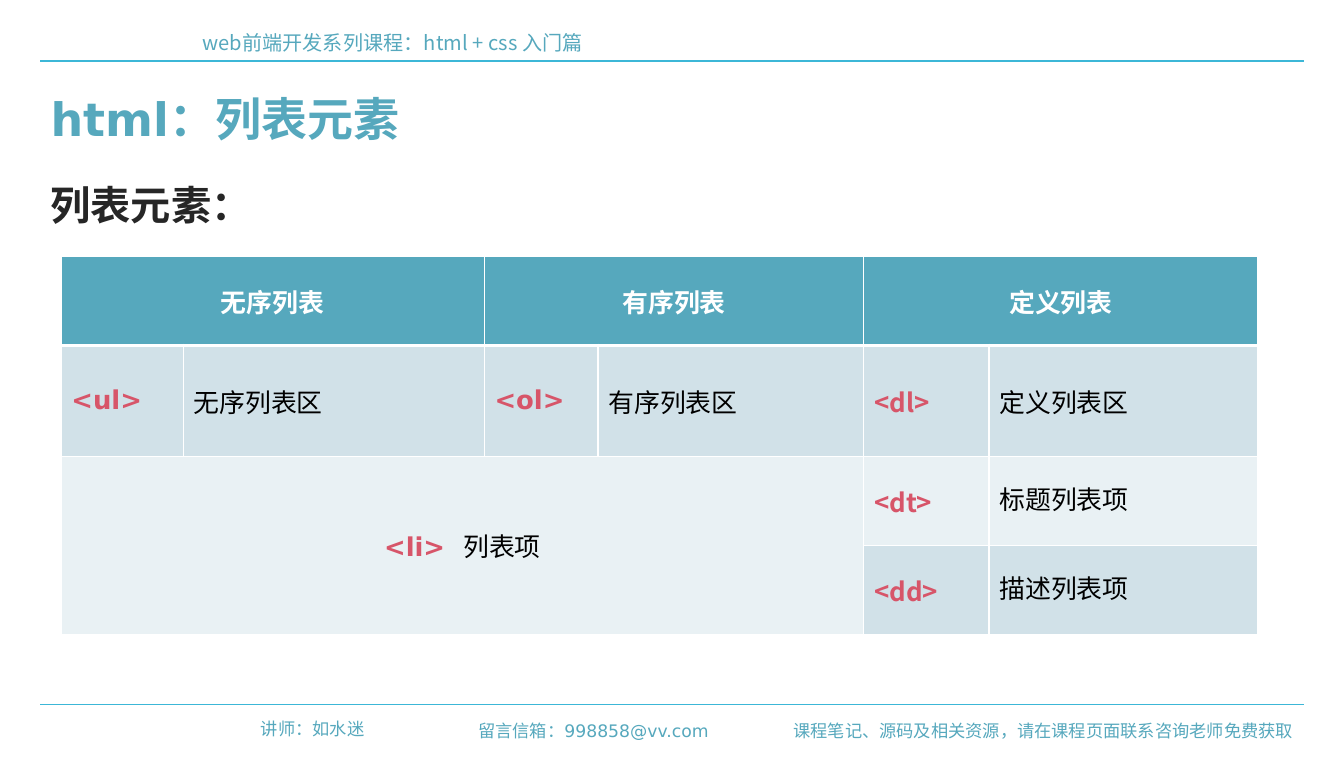
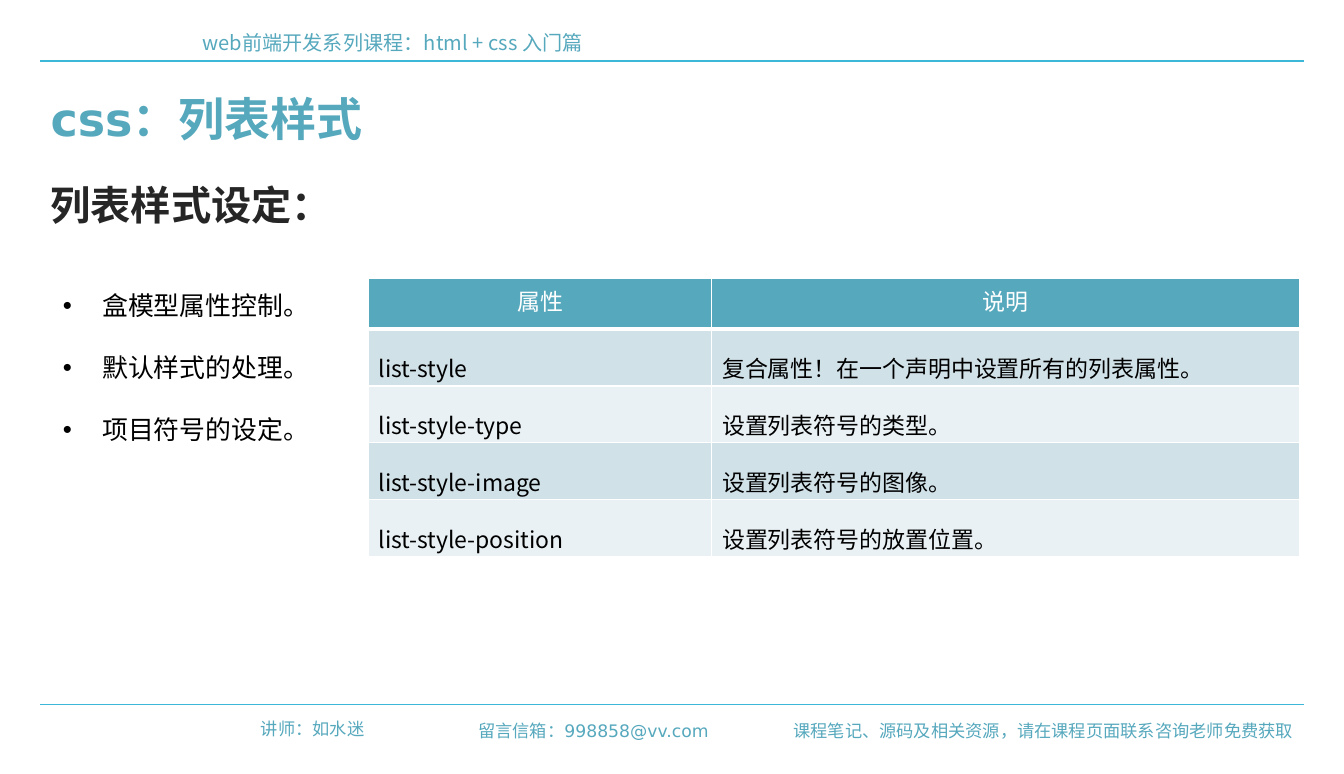
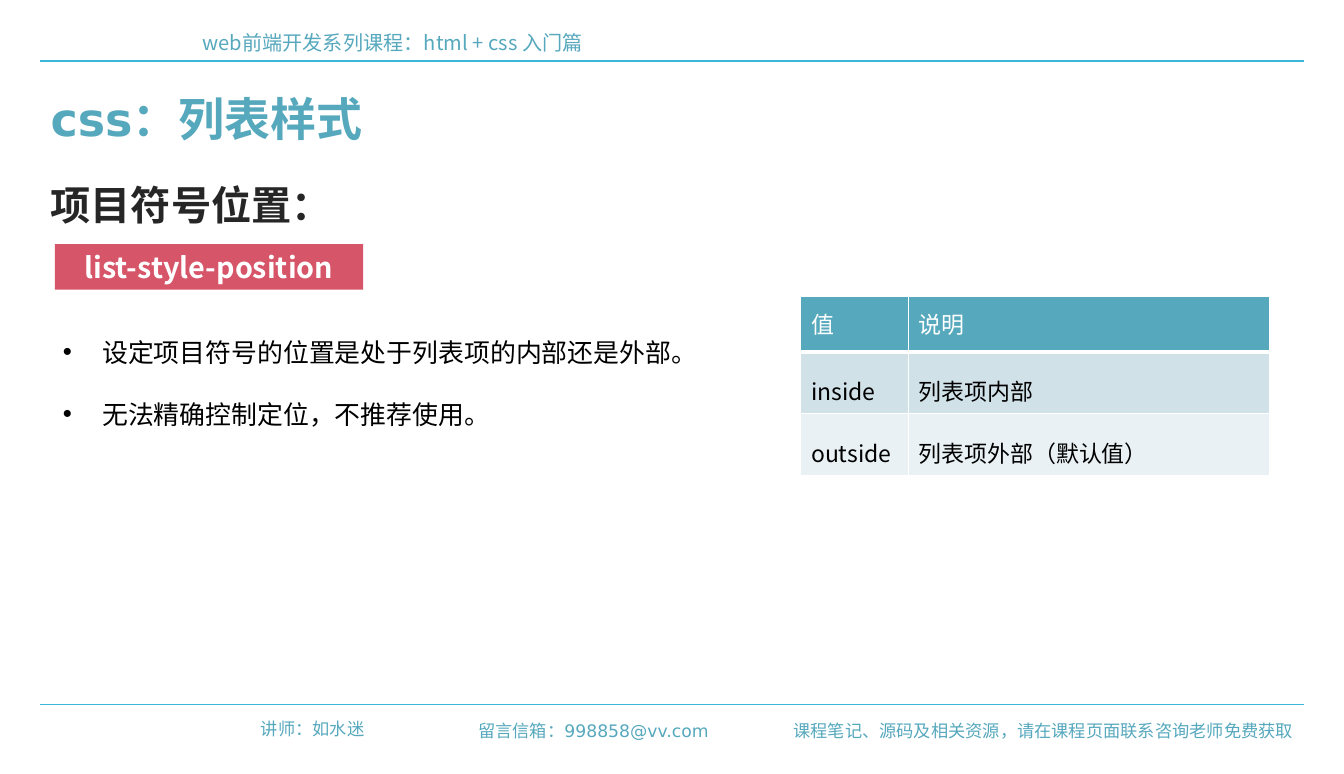
from lxml import etree
from pptx import Presentation
from pptx.dml.color import RGBColor
from pptx.enum.shapes import MSO_CONNECTOR as CONN, MSO_SHAPE as SHAPE
from pptx.enum.text import MSO_ANCHOR as ANCHOR, PP_ALIGN as ALIGN
from pptx.oxml.ns import qn
from pptx.util import Inches, Pt

COLORS = {
    "teal": "56A8BD", "rule": "3CB7D7", "red": "D75569", "ink": "262626",
    "black": "000000", "white": "FFFFFF", "band_dark": "D1E1E8", "band_light": "E9F1F4",
}
SANS = "DejaVu Sans"
CJK = "Noto Sans CJK SC"


def rgb(name):
    return RGBColor.from_string(COLORS[name])


def add_run(p, text, size, color, font=CJK, bold=False):
    r = p.add_run()
    r.text = text
    r.font.size = Pt(size)
    r.font.bold = bold
    r.font.name = font
    r.font.color.rgb = rgb(color)
    r._r.get_or_add_rPr().set("lang", "zh-CN")
    latin = r._r.rPr.find(qn("a:latin"))
    ea = etree.Element(qn("a:ea"), typeface=font)
    latin.addnext(ea)


def add_text(s, box, text, size, color, font=CJK, bold=False, align=None):
    tf = s.shapes.add_textbox(*map(Inches, box)).text_frame
    tf.word_wrap = True
    p = tf.paragraphs[0]
    p.alignment = align
    add_run(p, text, size, color, font, bold)
    return p


def add_rule(s, x, y, width):
    line = s.shapes.add_connector(CONN.STRAIGHT, Inches(x), Inches(y), Inches(x + width), Inches(y))
    line.line.color.rgb = rgb("rule")
    line.line.width = Pt(0.75)
    etree.SubElement(line._element.spPr, qn("a:effectLst"))


def add_frame(s):
    for y in (0.59, 6.81):
        add_rule(s, 0.39, y, 12.21)
    add_text(s, (1.86, 0.24, 10.51, 0.34), "web前端开发系列课程：html + css 入门篇", 14, "teal")
    for box, text in (
        ((2.24, 6.89, 1.38, 0.3), "讲师：如水迷"),
        ((7.52, 6.91, 5.08, 0.3), "课程笔记、源码及相关资源，请在课程页面联系咨询老师免费获取"),
        ((4.29, 6.91, 2.66, 0.3), "留言信箱：998858@vv.com"),
    ):
        add_text(s, box, text, 12, "teal", SANS, align=ALIGN.RIGHT)


def add_titles(s, title, heading):
    add_text(s, (0.39, 1.69, 6.65, 0.57), heading, 28, "ink", bold=True)
    p = add_text(s, (0.39, 0.83, 12.2, 0.64), title, 32, "teal", SANS, True)
    before = etree.SubElement(p._p.get_or_add_pPr(), qn("a:spcBef"))
    etree.SubElement(before, qn("a:spcPct"), val="20000")


def new_slide(prs, title, heading):
    s = prs.slides.add_slide(prs.slide_layouts[6])
    add_frame(s)
    add_titles(s, title, heading)
    return s


def add_bullets(s, box, items):
    tf = s.shapes.add_textbox(*map(Inches, box)).text_frame
    tf.word_wrap = True
    for i, item in enumerate(items):
        p = tf.add_paragraph() if i else tf.paragraphs[0]
        p.line_spacing = 2.0
        pPr = p._p.get_or_add_pPr()
        pPr.set("marL", str(Inches(0.38)))
        pPr.set("indent", str(-Inches(0.38)))
        etree.SubElement(pPr, qn("a:buFont"), typeface="Arial")
        etree.SubElement(pPr, qn("a:buChar"), char="•")
        add_run(p, item, 18, "black", SANS)


def add_tag(s, box, text):
    sp = s.shapes.add_shape(SHAPE.RECTANGLE, *map(Inches, box))
    sp.shadow.inherit = False
    sp.fill.solid()
    sp.fill.fore_color.rgb = rgb("red")
    sp.line.fill.background()
    tf = sp.text_frame
    tf.vertical_anchor = ANCHOR.MIDDLE
    p = tf.paragraphs[0]
    p.alignment = ALIGN.CENTER
    add_run(p, text, 20, "white", bold=True)


def set_borders(cell, top, bottom):
    tcPr = cell._tc.get_or_add_tcPr()
    for i, (side, width) in enumerate((("L", 1), ("R", 1), ("T", top), ("B", bottom))):
        ln = etree.Element(qn("a:ln" + side), w=str(Pt(width)))
        fill = etree.SubElement(ln, qn("a:solidFill"))
        etree.SubElement(fill, qn("a:srgbClr"), val=COLORS["white"])
        tcPr.insert(i, ln)


def add_grid(s, left, top, cols, rows):
    box = map(Inches, (left, top, sum(cols), sum(rows)))
    table = s.shapes.add_table(len(rows), len(cols), *box).table
    for col, width in zip(table.columns, cols):
        col.width = Inches(width)
    for i, height in enumerate(rows):
        table.rows[i].height = Inches(height)
        band = "teal" if i == 0 else "band_dark" if i % 2 else "band_light"
        for j in range(len(cols)):
            cell = table.cell(i, j)
            cell.fill.solid()
            cell.fill.fore_color.rgb = rgb(band)
            set_borders(cell, 3 if i == 1 else 1, 3 if i == 0 else 1)
    return table


def fill_cell(cell, runs, align=None, anchor=ANCHOR.MIDDLE, spacing=None):
    cell.vertical_anchor = anchor
    p = cell.text_frame.paragraphs[0]
    p.alignment = align
    p.line_spacing = spacing
    for run in runs:
        add_run(p, *run)


def add_element_table(s, left, top):
    table = add_grid(s, left, top, (1.18, 2.91, 1.1, 2.57, 1.21, 2.6), (0.86, 1.07, 0.86, 0.86))
    for j, text in zip((0, 2, 4), ("无序列表", "有序列表", "定义列表")):
        table.cell(0, j).merge(table.cell(0, j + 1))
        fill_cell(table.cell(0, j), [(text, 18, "white", CJK, True)], ALIGN.CENTER)
    for i, j, tag, tag_font, text, font in (
        (1, 0, "<ul>", SANS, "无序列表区", CJK),
        (1, 2, "<ol>", SANS, "有序列表区", CJK),
        (1, 4, "<dl>", CJK, "定义列表区", CJK),
        (2, 4, "<dt>", CJK, "标题列表项", SANS),
        (3, 4, "<dd>", CJK, "描述列表项", SANS),
    ):
        fill_cell(table.cell(i, j), [(tag, 18, "red", tag_font, True)])
        fill_cell(table.cell(i, j + 1), [(text, 18, "black", font)])
    table.cell(2, 0).merge(table.cell(3, 3))
    item = [("<li>  ", 18, "red", SANS, True), ("列表项", 18, "black")]
    fill_cell(table.cell(2, 0), item, ALIGN.CENTER)


def add_value_table(s, left, top, cols, heights, content, head_align, head_anchor, bottom=0.05):
    head, body = heights
    table = add_grid(s, left, top, cols, [head] + [body] * (len(content) - 1))
    for i, row in enumerate(content):
        for j, text in enumerate(row):
            cell = table.cell(i, j)
            if i == 0:
                fill_cell(cell, [(text, 16, "white")], head_align, head_anchor)
            else:
                cell.margin_bottom = Inches(bottom)
                fill_cell(cell, [(text, 16, "black")], anchor=ANCHOR.TOP, spacing=1.5)


def build_elements(prs):
    s = new_slide(prs, "html：列表元素", "列表元素：")
    add_element_table(s, 0.59, 2.48)


def build_styles(prs):
    s = new_slide(prs, "css：列表样式", "列表样式设定：")
    add_bullets(s, (0.51, 2.45, 11.02, 1.92), ("盒模型属性控制。", "默认样式的处理。", "项目符号的设定。"))
    add_value_table(s, 3.56, 2.69, (3.32, 5.68), (0.49, 0.55), (
        ("属性", "说明"),
        ("list-style", "复合属性！在一个声明中设置所有的列表属性。"),
        ("list-style-type", "设置列表符号的类型。"),
        ("list-style-image", "设置列表符号的图像。"),
        ("list-style-position", "设置列表符号的放置位置。"),
    ), ALIGN.CENTER, ANCHOR.TOP, bottom=0)


def build_position(prs):
    s = new_slide(prs, "css：列表样式", "项目符号位置：")
    add_bullets(s, (0.51, 2.9, 7.24, 1.31), (
        "设定项目符号的位置是处于列表项的内部还是外部。",
        "无法精确控制定位，不推荐使用。",
    ))
    add_tag(s, (0.53, 2.36, 2.98, 0.44), "list-style-position")
    add_value_table(s, 7.74, 2.86, (1.04, 3.49), (0.54, 0.6), (
        ("值", "说明"),
        ("inside", "列表项内部"),
        ("outside", "列表项外部（默认值）"),
    ), None, ANCHOR.MIDDLE)


def main():
    prs = Presentation()
    prs.slide_width = Inches(12.99)
    prs.slide_height = Inches(7.48)
    for build in (build_elements, build_styles, build_position):
        build(prs)
    prs.save("out.pptx")


if __name__ == "__main__":
    main()
